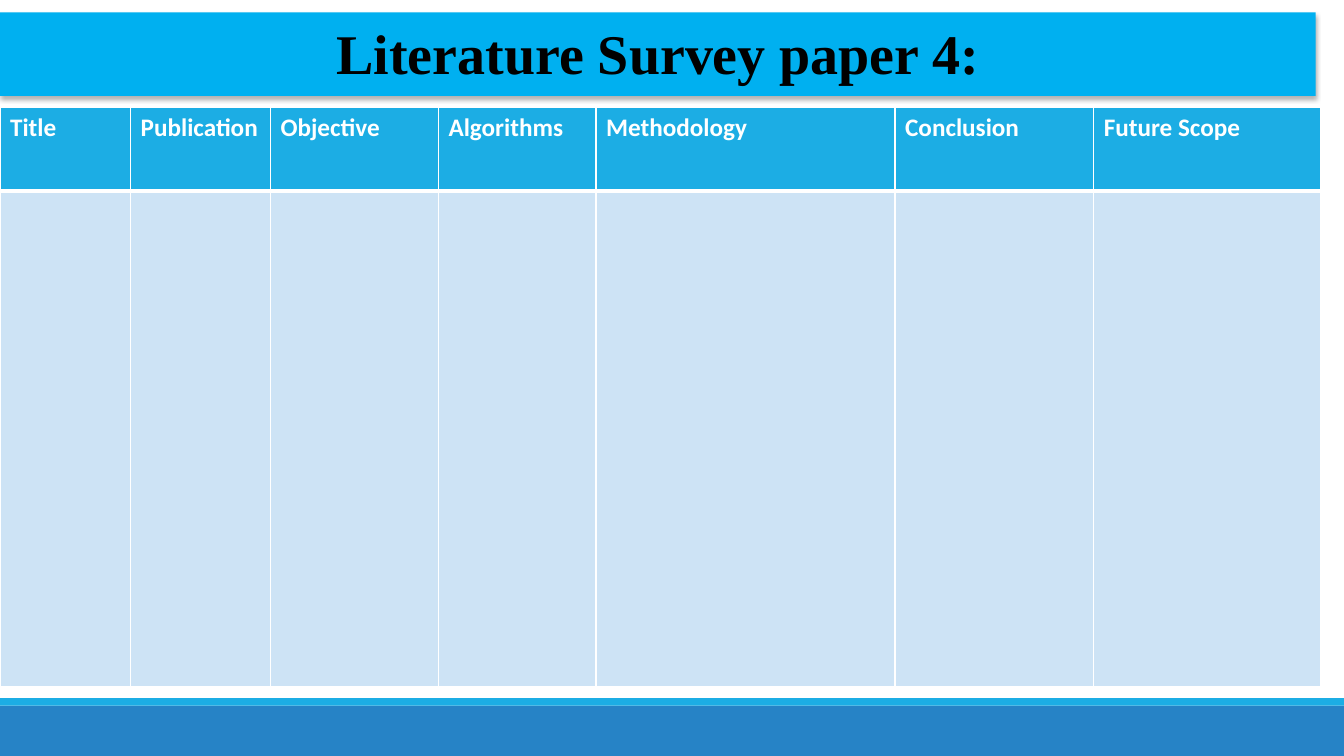
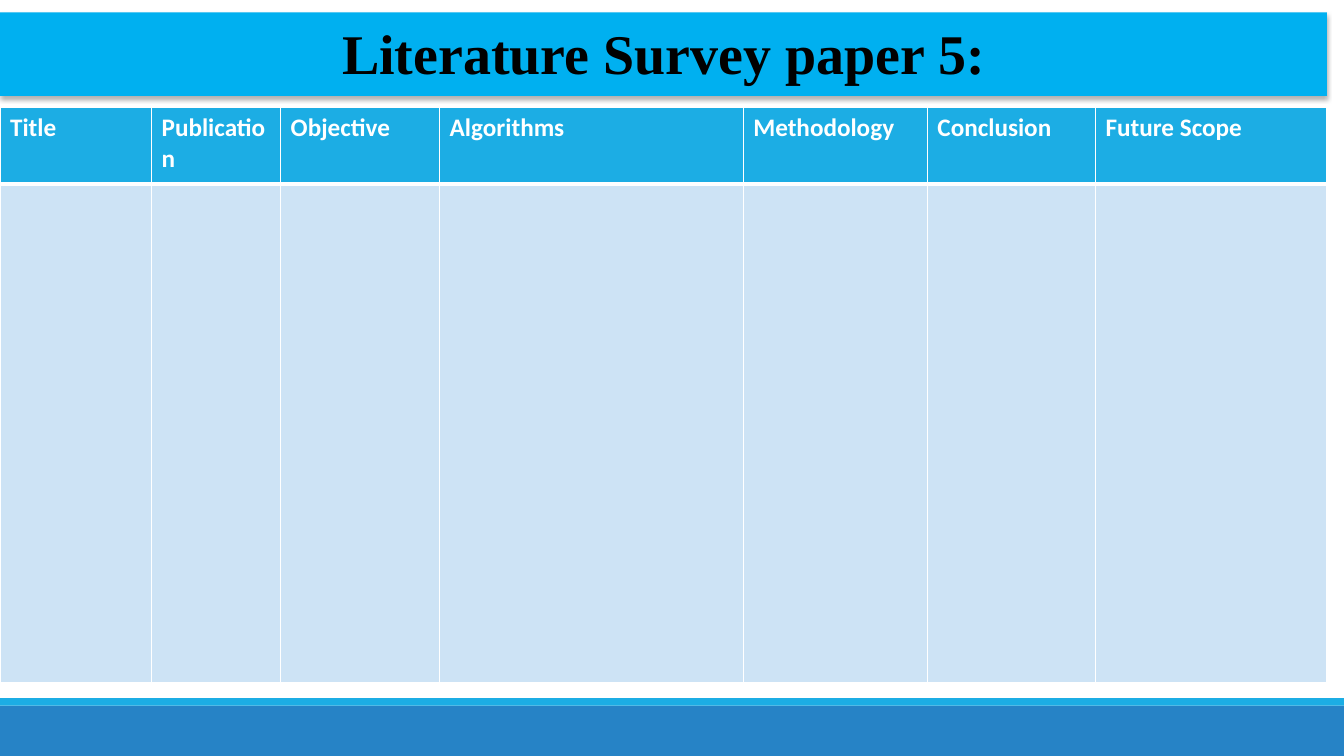
from lxml import etree
from pptx import Presentation
from pptx.dml.color import RGBColor
from pptx.enum.shapes import MSO_SHAPE
from pptx.enum.text import MSO_ANCHOR, MSO_AUTO_SIZE, PP_ALIGN
from pptx.oxml.ns import qn
from pptx.util import Pt

RECTANGLE = MSO_SHAPE.RECTANGLE
BOTTOM = MSO_ANCHOR.BOTTOM
NO_AUTOFIT = MSO_AUTO_SIZE.NONE
CENTER = PP_ALIGN.CENTER

COLORS = {
    "title_fill": "00B0F0",
    "title_text": "000000",
    "shadow": "000000",
    "header": "1CADE4",
    "header_text": "FFFFFF",
    "body": "CDE3F5",
    "border": "FFFFFF",
    "stripe": "1CADE4",
    "footer": "2683C6",
}
TITLE_FONT = "Times New Roman"
TABLE_FONT = "Calibri"

SLIDE_WIDTH, SLIDE_HEIGHT = 960, 540
TITLE_TOP, TITLE_HEIGHT = 8.8, 59.8
TABLE_TOP = 77
STRIPE_HEIGHT, FOOTER_HEIGHT = 5.3, 36
THIN, THICK = 1, 3

HEADERS = ["Title", "Publication", "Objective", "Algorithms",
           "Methodology", "Conclusion", "Future Scope"]
SURVEYS = [
    {
        "title": "Literature Survey paper 4:",
        "title_width": 939.8,
        "columns": [93.3, 99.9, 120, 112.6, 213.6, 141.9, 161.9],
        "rows": [59.4, 354.2],
    },
    {
        "title": "Literature Survey paper 5:",
        "title_width": 947.8,
        "columns": [108.3, 92.2, 113.6, 216.8, 131.6, 120.1, 164.9],
        "rows": [54.7, 355.9],
    },
]


def fill_solid(target, color):
    target.fill.solid()
    target.fill.fore_color.rgb = RGBColor.from_string(COLORS[color])


def add_run(paragraph, text, font, size, color):
    run = paragraph.add_run()
    run.text = text
    run.font.name = font
    run.font.size = Pt(size)
    run.font.bold = True
    run.font.color.rgb = RGBColor.from_string(COLORS[color])


def add_bands(slide):
    footer_top = SLIDE_HEIGHT - FOOTER_HEIGHT
    bands = [
        ("footer", footer_top, FOOTER_HEIGHT),
        ("stripe", footer_top - STRIPE_HEIGHT, STRIPE_HEIGHT),
    ]
    for color, top, height in bands:
        band = slide.shapes.add_shape(
            RECTANGLE, 0, Pt(top), Pt(SLIDE_WIDTH), Pt(height))
        band.shadow.inherit = False
        fill_solid(band, color)
        band.line.fill.background()


def add_shadow(shape):
    shape.shadow.inherit = False
    effects = shape.element.spPr.find(qn("a:effectLst"))
    shadow = etree.SubElement(
        effects, qn("a:outerShdw"), blurRad=str(Pt(3.5)), dist=str(Pt(2.2)),
        dir="5400000", rotWithShape="0")
    color = etree.SubElement(shadow, qn("a:srgbClr"), val=COLORS["shadow"])
    etree.SubElement(color, qn("a:alpha"), val="31000")


def format_title(title, text, width):
    title.left, title.top = 0, Pt(TITLE_TOP)
    title.width, title.height = Pt(width), Pt(TITLE_HEIGHT)
    fill_solid(title, "title_fill")
    add_shadow(title)
    frame = title.text_frame
    frame.auto_size = NO_AUTOFIT
    frame.word_wrap = True
    frame.vertical_anchor = BOTTOM
    frame.margin_left = frame.margin_right = Pt(7.2)
    frame.margin_top, frame.margin_bottom = Pt(3.6), Pt(7.6)
    paragraph = frame.paragraphs[0]
    paragraph.alignment = CENTER
    add_run(paragraph, text, TITLE_FONT, 40, "title_text")


def set_borders(cell, top, bottom):
    properties = cell._tc.get_or_add_tcPr()
    widths = {"a:lnL": THIN, "a:lnR": THIN, "a:lnT": top, "a:lnB": bottom}
    for tag, width in widths.items():
        line = etree.SubElement(properties, qn(tag), w=str(Pt(width)))
        fill = etree.SubElement(line, qn("a:solidFill"))
        etree.SubElement(fill, qn("a:srgbClr"), val=COLORS["border"])


def add_survey_table(slide, columns, rows):
    table = slide.shapes.add_table(
        len(rows), len(columns), 0, Pt(TABLE_TOP),
        Pt(sum(columns)), Pt(sum(rows))).table
    for column, width in zip(table.columns, columns):
        column.width = Pt(width)
    for row, height in zip(table.rows, rows):
        row.height = Pt(height)
    for index, header in enumerate(HEADERS):
        header_cell, body_cell = table.cell(0, index), table.cell(1, index)
        set_borders(header_cell, THIN, THICK)
        set_borders(body_cell, THICK, THIN)
        fill_solid(header_cell, "header")
        fill_solid(body_cell, "body")
        add_run(header_cell.text_frame.paragraphs[0], header,
                TABLE_FONT, 18, "header_text")


def main():
    presentation = Presentation()
    presentation.slide_width = Pt(SLIDE_WIDTH)
    presentation.slide_height = Pt(SLIDE_HEIGHT)
    layout = presentation.slide_layouts.get_by_name("Title Only")
    for survey in SURVEYS:
        slide = presentation.slides.add_slide(layout)
        add_bands(slide)
        format_title(slide.shapes.title, survey["title"], survey["title_width"])
        add_survey_table(slide, survey["columns"], survey["rows"])
    presentation.save("out.pptx")


if __name__ == "__main__":
    main()
